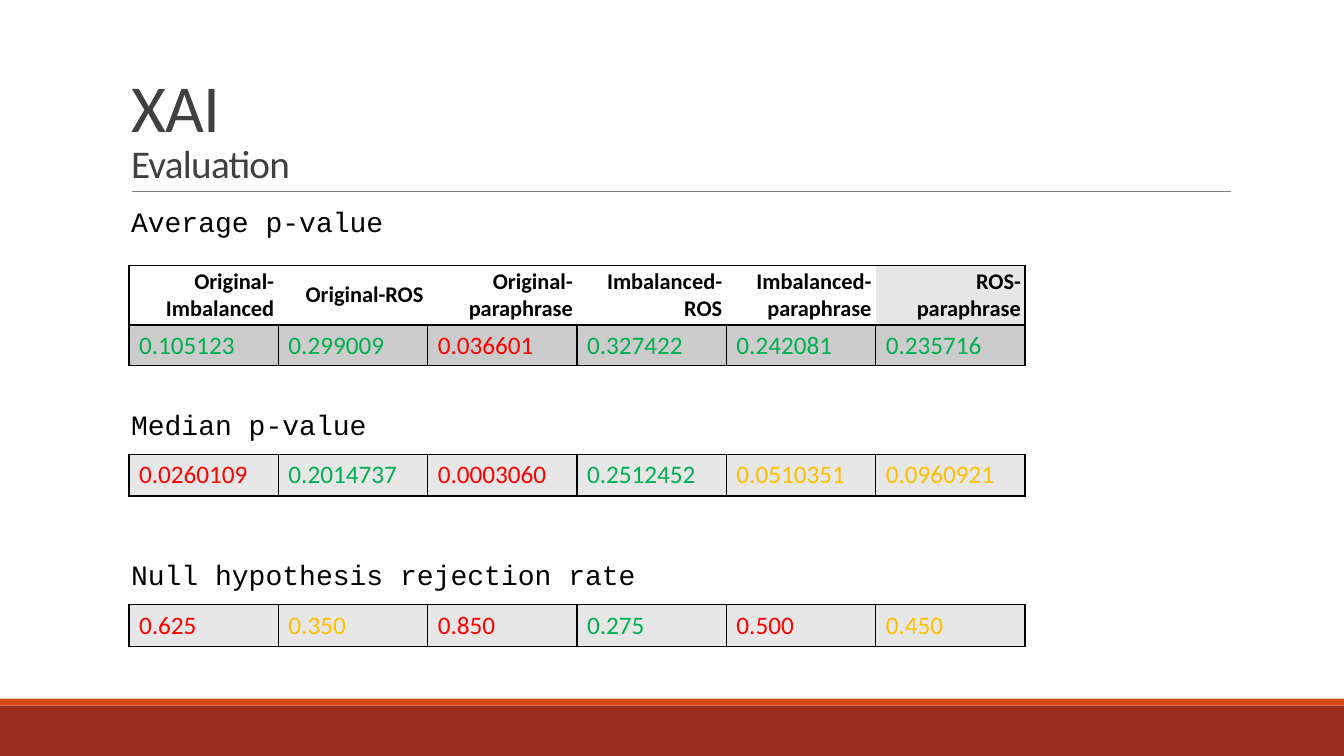
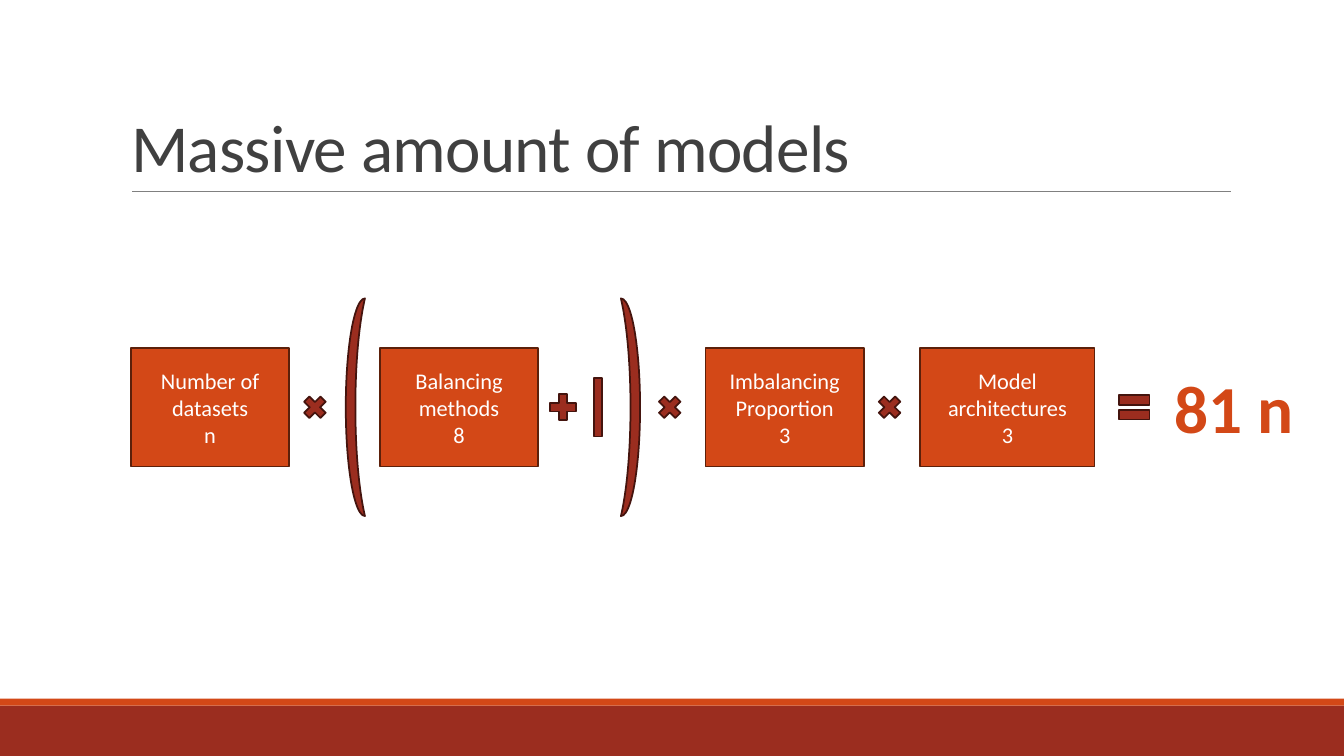
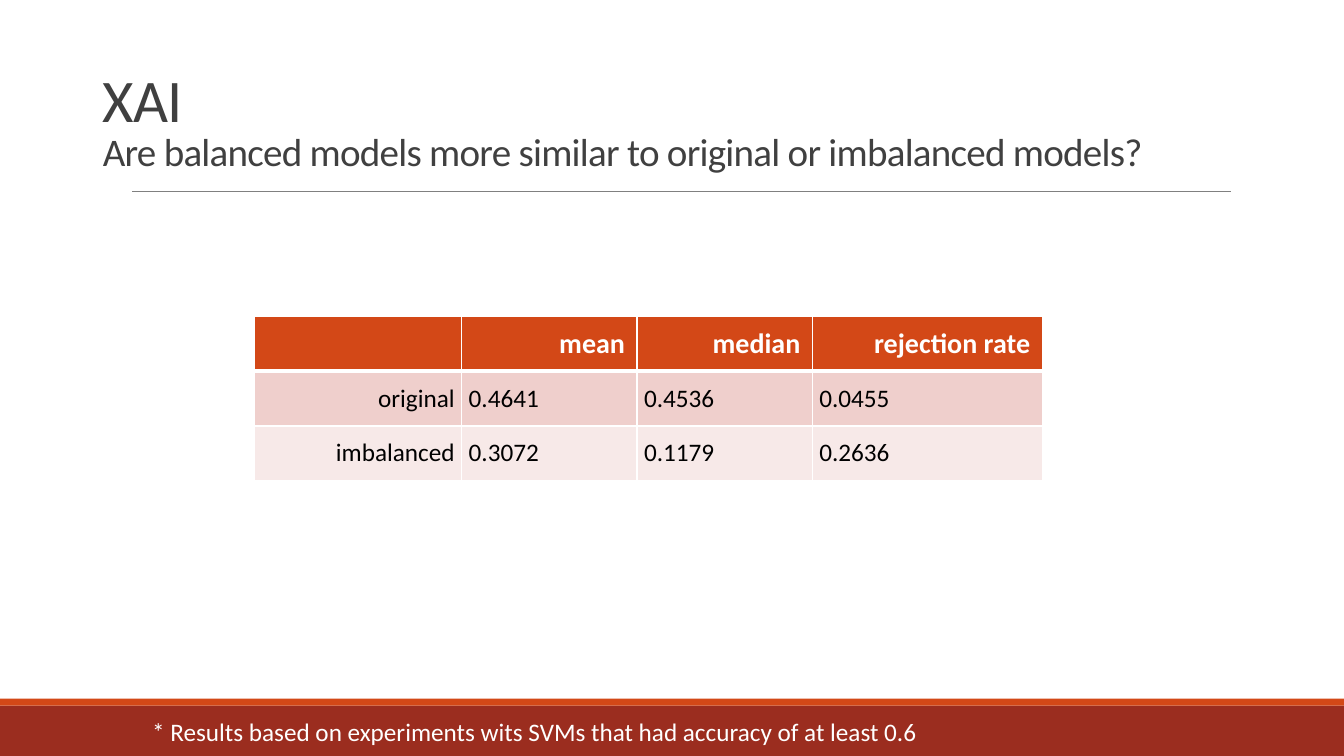
import itertools

import pptx
import pptx.dml.color
import pptx.enum.shapes
import pptx.enum.text
import pptx.oxml
import pptx.oxml.ns
import pptx.util

Pt = pptx.util.Pt
Shape = pptx.enum.shapes.MSO_SHAPE
Align = pptx.enum.text.PP_ALIGN
Anchor = pptx.enum.text.MSO_ANCHOR
Fit = pptx.enum.text.MSO_AUTO_SIZE

INK = {
    "rust": "9B2D1F", "orange": "D34817", "rule": "808080", "title": "404040",
    "black": "000000", "white": "FFFFFF", "edge": "5C200A", "dark": "44140E",
    "good": "00B050", "bad": "FF0000", "weak": "FFC000",
    "pale": "E7E7E7", "grey": "CCCCCC", "rose": "EFCFCC", "blush": "F7E9E8",
}
PAGE = (0, 0, 12192000, 6858000)


def tint(name):
    return pptx.dml.color.RGBColor.from_string(INK[name])


def part(box, left, top, width, height):
    x, y, w, h = box
    return (int(x + w * left / 100), int(y + h * top / 100),
            int(w * width / 100), int(h * height / 100))


def move(shape, box):
    shape.left, shape.top, shape.width, shape.height = box


def text(frame, *words, sizes=(18,), color="black", font="Calibri", bold=False,
         align=Align.LEFT, lead=None, gaps=(0,), spread=None):
    for i, (line, gap) in enumerate(zip(words, itertools.cycle(gaps))):
        para = frame.add_paragraph() if i else frame.paragraphs[0]
        para.alignment = align
        para.space_before = Pt(gap)
        para.space_after = Pt(0)
        if lead:
            para.line_spacing = lead
        for j, (word, size) in enumerate(zip(line.split("\v"), itertools.cycle(sizes))):
            if j:
                para.add_line_break()
            run = para.add_run()
            run.text = word
            run.font.name, run.font.size, run.font.bold = font, Pt(size), bold
            run.font.color.rgb = tint(color)
            if spread:
                run.font.language_id = None
                run._r.get_or_add_rPr().set("spc", str(spread))


def block(slide, kind, box, fill, line=None):
    shape = slide.shapes.add_shape(kind, *box)
    shape.shadow.inherit = False
    shape.fill.solid()
    shape.fill.fore_color.rgb = tint(fill)
    if line:
        shape.line.color.rgb = tint(line)
        shape.line.width = Pt(1.25)
    else:
        shape.line.fill.background()
    return shape


def label(slide, box, words, **style):
    frame = slide.shapes.add_textbox(*box).text_frame
    frame.word_wrap = True
    text(frame, words, **style)


def frame_deck(deck, slide):
    x, y, w, _ = part(PAGE, 9.83, 25.33, 81.75, 0)
    rule = slide.shapes.add_connector(
        pptx.enum.shapes.MSO_CONNECTOR.STRAIGHT, x, y, x + w, y)
    rule.line.color.rgb = tint("rule")
    rule.line.width = Pt(0.5)
    rule.element.spPr.append(pptx.oxml.parse_xml(
        f'<a:effectLst {pptx.oxml.ns.nsdecls("a")}/>'))
    base = block(slide, Shape.RECTANGLE, part(PAGE, 0, 93.33, 100, 6.67), "rust")
    strip = block(slide, Shape.RECTANGLE, part(PAGE, 0, 92.4, 100, 0.93), "orange")
    for shape in (base, strip, rule):
        deck.slide_master.shapes.element.append(shape.element)


def title(slide, words, sizes=(48, 28), box=part(PAGE, 9, 4.13, 82.5, 21.2)):
    shape = slide.shapes.title
    move(shape, box)
    frame = shape.text_frame
    frame.auto_size = Fit.NONE
    frame.vertical_anchor = Anchor.BOTTOM
    text(frame, words, sizes=sizes, color="title", lead=0.85, spread=-50)


def heads(shape, box, words, gaps):
    move(shape, box)
    frame = shape.text_frame
    frame.auto_size = Fit.NONE
    frame.margin_left = frame.margin_right = Pt(7.2)
    text(frame, *words, sizes=(20,), font="Courier New", lead=0.9, gaps=gaps)
    for para in frame.paragraphs:
        props = para._p.get_or_add_pPr()
        props.set("marL", "0")
        props.set("indent", "0")
        props.append(pptx.oxml.parse_xml(
            f'<a:buNone {pptx.oxml.ns.nsdecls("a")}/>'))


def border(cell, color, sides):
    props = cell._tc.get_or_add_tcPr()
    for i, (side, width) in enumerate(zip("LRTB", sides)):
        paint = (f'<a:solidFill><a:srgbClr val="{INK[color]}"/></a:solidFill>'
                 if width else "<a:noFill/>")
        props.insert(i, pptx.oxml.parse_xml(
            f'<a:ln{side} {pptx.oxml.ns.nsdecls("a")} w="{Pt(width)}">{paint}</a:ln{side}>'))


def grid(slide, box, cols, rows, data, style, line):
    table = slide.shapes.add_table(len(rows), len(cols), *box).table
    table.first_row = table.horz_banding = False
    for tracks, parts, size, name in ((table.columns, cols, box[2], "width"),
                                      (table.rows, rows, box[3], "height")):
        for track, share in zip(tracks, parts):
            setattr(track, name, int(size * share / sum(parts)))
    for r, row in enumerate(data):
        for c, word in enumerate(row):
            cell = table.cell(r, c)
            fill, sides, (wide, high), font = style(r, c)
            cell.margin_left = cell.margin_right = Pt(wide)
            cell.margin_top = cell.margin_bottom = Pt(high)
            cell.vertical_anchor = Anchor.MIDDLE
            if fill:
                cell.fill.solid()
                cell.fill.fore_color.rgb = tint(fill)
            else:
                cell.fill.background()
            border(cell, line, sides)
            if word:
                text(cell.text_frame, word, **font)


def scores(slide, top, height, values, marks, fill, names=None):
    def style(r, c):
        if names and r == 0:
            last = c == len(names) - 1
            return ("pale" if last else None, (int(c == 0), int(last), 1, 1), (3, 1.5),
                    dict(sizes=(16,), bold=True, align=Align.RIGHT))
        return fill, (1, 1, 1, 1), (7.2, 3.6), dict(color=marks[c])

    data = [names, values] if names else [values]
    rows = [0.6, 0.4] if names else [1]
    grid(slide, part(PAGE, 9.6, top, 66.68, height), [1] * len(values), rows,
         data, style, "black")


def tests(slide):
    title(slide, "XAI\vEvaluation")
    heads(slide.placeholders[1], part(PAGE, 9, 26.93, 82.5, 58.67),
          ["Average p-value", "Median p-value", "Null hypothesis rejection rate"],
          (0, 123, 86))
    good, bad, weak = "good", "bad", "weak"
    scores(slide, 35.07, 13.2,
           ["0.105123", "0.299009", "0.036601", "0.327422", "0.242081", "0.235716"],
           [good, good, bad, good, good, good], "grey",
           ["Original-Imbalanced", "Original-ROS", "Original-paraphrase",
            "Imbalanced-ROS", "Imbalanced-paraphrase", "ROS-paraphrase"])
    scores(slide, 60.13, 5.47,
           ["0.0260109", "0.2014737", "0.0003060", "0.2512452", "0.0510351", "0.0960921"],
           [bad, good, bad, good, weak, weak], "pale")
    scores(slide, 80, 5.47, ["0.625", "0.350", "0.850", "0.275", "0.500", "0.450"],
           [bad, weak, bad, good, bad, weak], "pale")


def product(slide, box):
    def place(left, width, height):
        return part(box, left, 50 - height / 2, width, height)

    factors = [
        (0, 13.46, ["Number of datasets", "n"]),
        (21.18, 13.46, ["Balancing methods", "8"]),
        (48.89, 13.46, ["Imbalancing", "Proportion", "3"]),
        (67.15, 14.84, ["Model architectures", "3"]),
    ]
    for left, width, words in factors:
        shape = block(slide, Shape.RECTANGLE, place(left, width, 54.6), "orange", "edge")
        shape.text_frame.vertical_anchor = Anchor.MIDDLE
        text(shape.text_frame, *words, sizes=(16,), color="white", align=Align.CENTER)
    signs = [(Shape.MATH_MULTIPLY, left, 2.66, 14.35, 0) for left in (14.32, 44.51, 63.21)]
    signs += [
        (Shape.MOON, 18.27, 1.63, 100, 0),
        (Shape.MATH_PLUS, 35.25, 3, 16.2, 0),
        (Shape.RECTANGLE, 39.37, 0.69, 26.85, 0),
        (Shape.MOON, 41.68, 1.63, 100, 180),
        (Shape.MATH_EQUAL, 83.62, 3.52, 18.98, 0),
    ]
    for kind, left, width, height, turn in signs:
        block(slide, kind, place(left, width, height), "rust", "dark").rotation = turn
    label(slide, place(87.91, 12.09, 42.13), "81 n", sizes=(48,), color="orange", bold=True)


def models(slide):
    title(slide, "Massive amount of models")
    product(slide, part(PAGE, 9.75, 39.47, 87.45, 28.8))


def likeness(slide):
    title(slide, "XAI\vAre balanced models more similar to original or imbalanced models?",
          sizes=(43.2, 27.9), box=part(PAGE, 6.9, 4.4, 86.25, 19.33))

    def style(r, c):
        if r == 0:
            return ("orange", (1, 1, 1, 3), (8.6, 4.3),
                    dict(sizes=(20,), color="white", bold=True, align=Align.RIGHT))
        return (("rose", "blush")[r - 1], (1, 1, 3 if r == 1 else 1, 1), (5, 2.2),
                dict(align=Align.LEFT if c else Align.RIGHT))

    data = [["", "mean", "median", "rejection rate"],
            ["original", "0.4641", "0.4536", "0.0455"],
            ["imbalanced", "0.3072", "0.1179", "0.2636"]]
    grid(slide, part(PAGE, 18.9, 41.87, 58.65, 21.73), [2.06, 1.74, 1.74, 2.28],
         [1, 1, 1], data, style, "white")
    label(slide, part(PAGE, 10.58, 94.13, 85.13, 5.33),
          "* Results based on experiments wits SVMs that had accuracy of at least 0.6",
          color="white")


def main():
    deck = pptx.Presentation()
    deck.slide_width, deck.slide_height = PAGE[2:]
    for i, (build, layout) in enumerate(((tests, 1), (models, 5), (likeness, 5))):
        slide = deck.slides.add_slide(deck.slide_layouts[layout])
        if i == 0:
            frame_deck(deck, slide)
        build(slide)
    deck.save("out.pptx")


if __name__ == "__main__":
    main()
